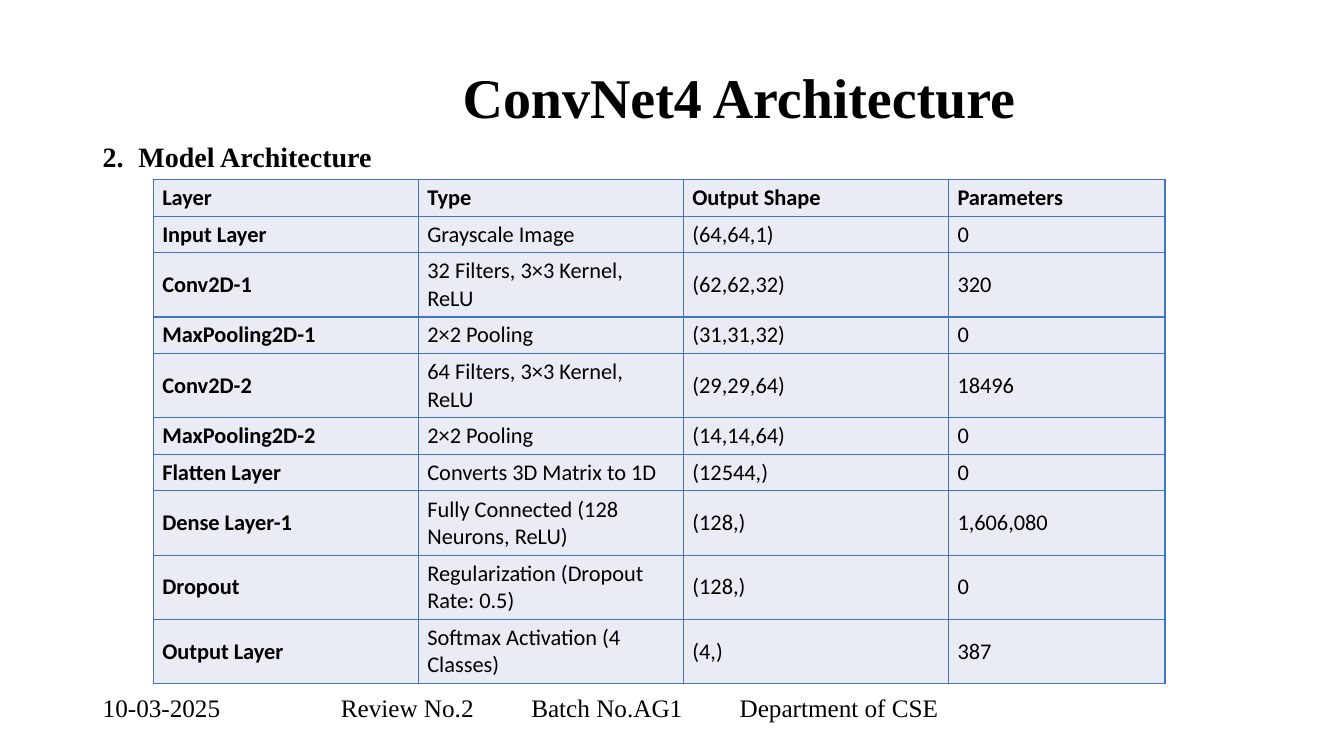
from lxml.etree import SubElement
from pptx import Presentation
from pptx.dml.color import RGBColor
from pptx.enum.text import MSO_ANCHOR as Anchor, PP_ALIGN as Align
from pptx.oxml.ns import qn
from pptx.util import Cm, Pt

BLACK = RGBColor(0x00, 0x00, 0x00)
PALE_BLUE = RGBColor(0xE9, 0xEB, 0xF5)
BORDER_BLUE = RGBColor(0x44, 0x72, 0xC4)

SHORT_ROW, TALL_ROW = 0.92, 1.62
COLUMN_WIDTHS = [6.68, 6.68, 6.68, 5.46]
LAYERS = [
    (SHORT_ROW, "Layer", "Type", "Output Shape", "Parameters"),
    (SHORT_ROW, "Input Layer", "Grayscale Image", "(64,64,1)", "0"),
    (TALL_ROW, "Conv2D-1", "32 Filters, 3×3 Kernel, ReLU", "(62,62,32)", "320"),
    (SHORT_ROW, "MaxPooling2D-1", "2×2 Pooling", "(31,31,32)", "0"),
    (TALL_ROW, "Conv2D-2", "64 Filters, 3×3 Kernel, ReLU", "(29,29,64)", "18496"),
    (SHORT_ROW, "MaxPooling2D-2", "2×2 Pooling", "(14,14,64)", "0"),
    (SHORT_ROW, "Flatten Layer", "Converts 3D Matrix to 1D", "(12544,)", "0"),
    (TALL_ROW, "Dense Layer-1", "Fully Connected (128 Neurons, ReLU)", "(128,)", "1,606,080"),
    (TALL_ROW, "Dropout", "Regularization (Dropout Rate: 0.5)", "(128,)", "0"),
    (TALL_ROW, "Output Layer", "Softmax Activation (4 Classes)", "(4,)", "387"),
]


class ArchitectureSlide:
    heading_font = "Times New Roman"
    table_font = "Calibri"

    def __init__(self, presentation):
        self.slide = presentation.slides.add_slide(presentation.slide_layouts[5])

    def set_font(self, paragraph, name, size, bold=False):
        font = paragraph.font
        font.name, font.size, font.bold = name, Pt(size), bold
        font.color.rgb = BLACK

    def title(self, text, left, top, width, height, indent):
        title = self.slide.shapes.title
        title.left, title.top = Cm(left), Cm(top)
        title.width, title.height = Cm(width), Cm(height)
        frame = title.text_frame
        frame.text = text
        frame.vertical_anchor = Anchor.MIDDLE
        frame.margin_left = Cm(indent)
        paragraph = frame.paragraphs[0]
        paragraph.alignment = Align.LEFT
        paragraph.line_spacing = 0.9
        self.set_font(paragraph, self.heading_font, 40, bold=True)

    def tabbed_line(self, parts, left, top, width, height, stops, size, bold=False):
        """Add one line of text whose parts start at the given tab stops."""
        box = self.slide.shapes.add_textbox(Cm(left), Cm(top), Cm(width), Cm(height))
        frame = box.text_frame
        frame.word_wrap = True
        paragraph = frame.paragraphs[0]
        paragraph.text = "\t".join(parts)
        tab_list = SubElement(paragraph._p.get_or_add_pPr(), qn("a:tabLst"))
        for stop in stops:
            SubElement(tab_list, qn("a:tab"), pos=str(Cm(stop)), algn="l")
        self.set_font(paragraph, self.heading_font, size, bold)

    def table(self, rows, widths, left, top):
        heights = [row[0] for row in rows]
        table = self.slide.shapes.add_table(
            len(rows), len(widths), Cm(left), Cm(top), Cm(sum(widths)), Cm(sum(heights))
        ).table
        for column, width in zip(table.columns, widths):
            column.width = Cm(width)
        for row_index, (height, *texts) in enumerate(rows):
            table.rows[row_index].height = Cm(height)
            for column_index, text in enumerate(texts):
                bold = row_index == 0 or column_index == 0
                self.fill_cell(table.cell(row_index, column_index), text, bold)

    def fill_cell(self, cell, text, bold):
        cell.text = text
        cell.vertical_anchor = Anchor.MIDDLE
        cell.margin_left = cell.margin_right = Cm(0.23)
        cell.margin_top = cell.margin_bottom = Cm(0.11)
        self.set_font(cell.text_frame.paragraphs[0], self.table_font, 16, bold)
        properties = cell._tc.get_or_add_tcPr()
        for side in ("lnL", "lnR", "lnT", "lnB"):
            line = SubElement(properties, qn(f"a:{side}"), w=str(Pt(1)))
            fill = SubElement(line, qn("a:solidFill"))
            SubElement(fill, qn("a:srgbClr"), val=str(BORDER_BLUE))
        cell.fill.solid()
        cell.fill.fore_color.rgb = PALE_BLUE


def main():
    presentation = Presentation()
    presentation.slide_width, presentation.slide_height = Cm(33.87), Cm(19.05)
    page = ArchitectureSlide(presentation)
    page.title("ConvNet4 Architecture", 3.66, 1.42, 29.21, 2.21, indent=8)
    page.tabbed_line(
        ["10-03-2025", "Review No.2", "Batch No.AG1", "Department of CSE"],
        2.34, 17.32, 21.95, 1.8, stops=[6, 10.8, 16.05], size=18,
    )
    page.table(LAYERS, COLUMN_WIDTHS, 3.86, 4.53)
    page.tabbed_line(
        ["2.", "Model Architecture"], 2.34, 3.38, 7.6, 1.1, stops=[0.9], size=20, bold=True
    )
    presentation.save("out.pptx")


if __name__ == "__main__":
    main()
